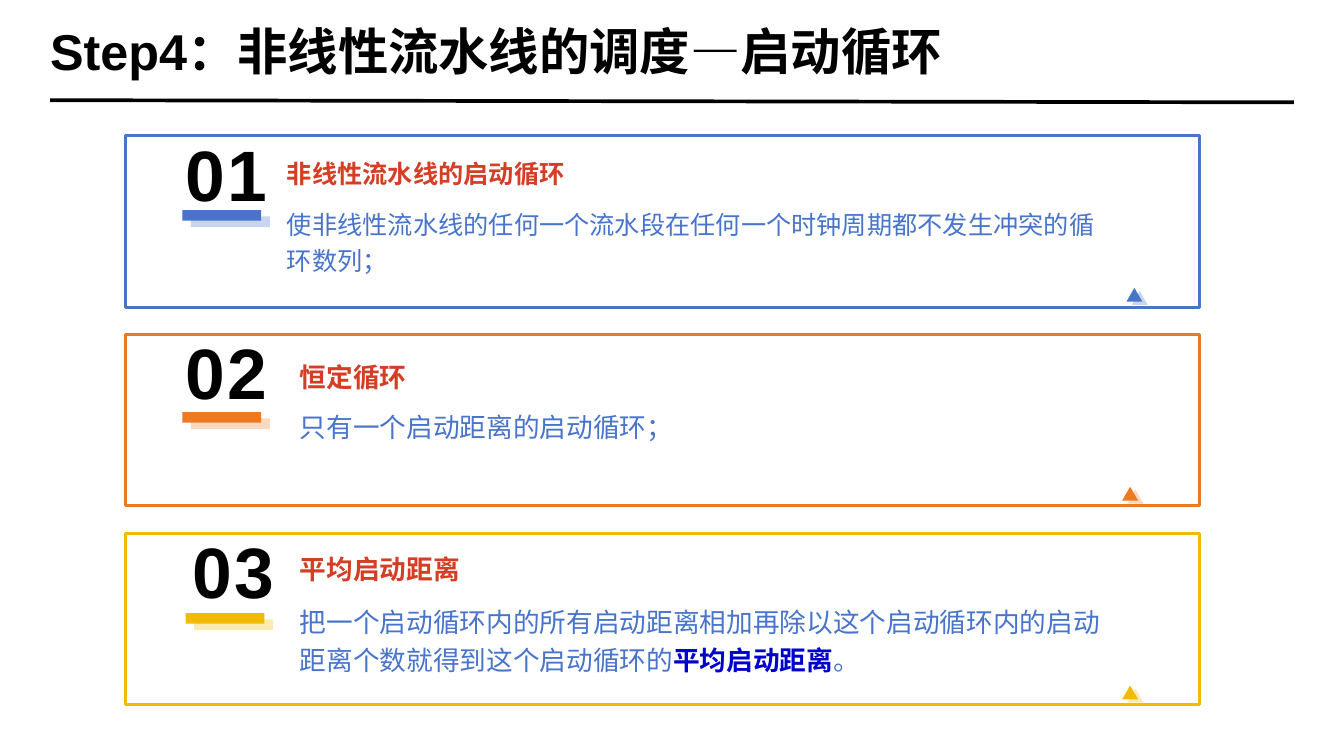
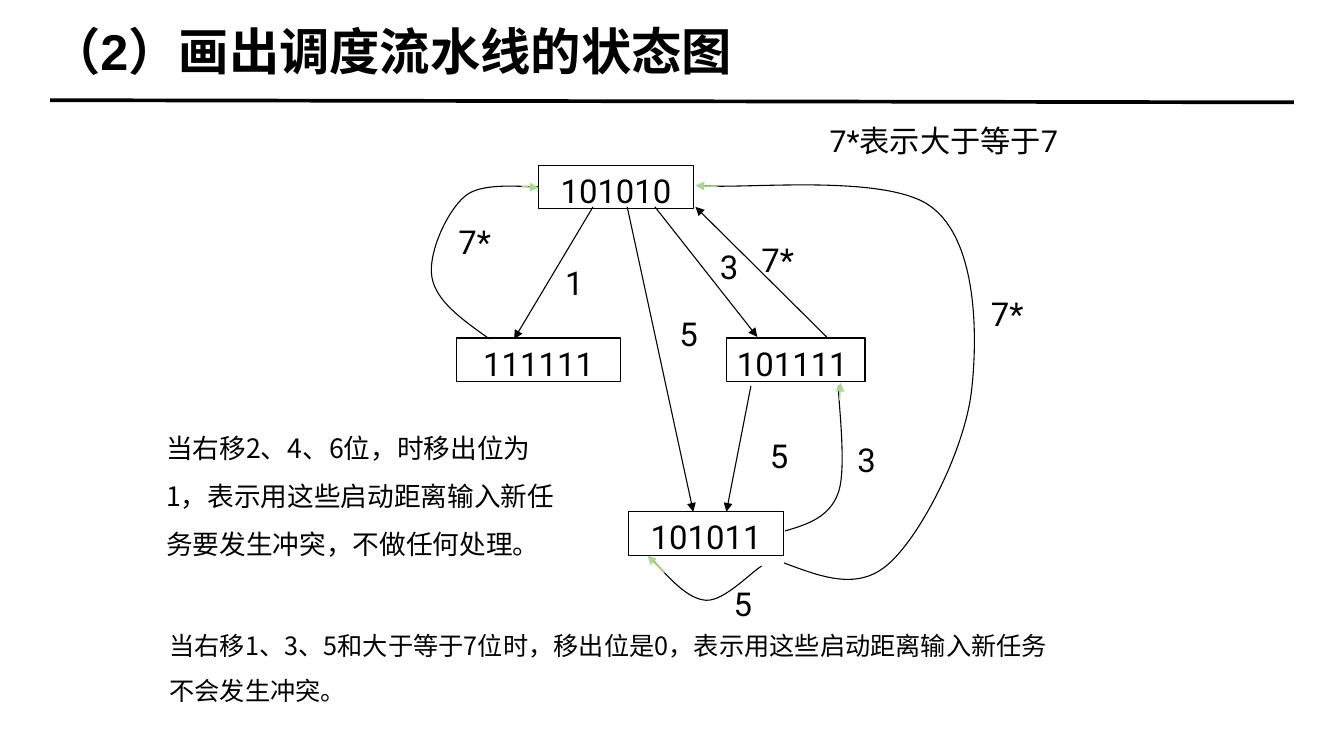
from dataclasses import dataclass

from lxml.etree import SubElement
from pptx import Presentation
from pptx.dml.color import RGBColor
from pptx.enum.shapes import MSO_CONNECTOR, MSO_SHAPE
from pptx.enum.text import MSO_ANCHOR as Anchor, PP_ALIGN as Align
from pptx.oxml.ns import qn
from pptx.util import Inches, Pt

BLACK = RGBColor(0x00, 0x00, 0x00)
BLUE = RGBColor(0x48, 0x74, 0xCB)
ORANGE = RGBColor(0xED, 0x7A, 0x22)
LIGHT_ORANGE = RGBColor(0xEE, 0x82, 0x2F)
YELLOW = RGBColor(0xF2, 0xBA, 0x02)
RED = RGBColor(0xD5, 0x3E, 0x25)
STRONG_BLUE = RGBColor(0x00, 0x00, 0xCC)
GREEN = RGBColor(0xAC, 0xD7, 0x8E)

HEAD_FONT = "Arial"
BODY_FONT = "Noto Sans CJK SC"
STATE_FONT = "Roboto"
INSET = (0.1, 0.05)


@dataclass
class Card:
    number: str
    heading: str
    body: list
    color: RGBColor
    soft: RGBColor
    size: float
    spacing: float
    gap: float
    number_width: float
    bar_at: tuple
    text_at: tuple
    marker_at: tuple


CARDS = [
    Card("01", "非线性流水线的启动循环",
         [("使非线性流水线的任何一个流水段在任何一个时钟周期都不发生冲突的循环数列；", False)],
         BLUE, BLUE, 17, 24.3, 10, 1.13, (0.53, 0.7), (1.51, 0.37), (9.38, 1.43)),
    Card("02", "恒定循环", [("只有一个启动距离的启动循环；", False)],
         ORANGE, LIGHT_ORANGE, 18, 30.2, 4, 1.13, (0.53, 0.73), (1.63, 0.21), (9.34, 1.43)),
    Card("03", "平均启动距离",
         [("把一个启动循环内的所有启动距离相加再除以这个启动循环内的启动距离个数就得到这个启动循环的", False),
          ("平均启动距离", True), ("。", False)],
         YELLOW, YELLOW, 18, 25.8, 10, 1.25, (0.56, 0.75), (1.63, 0.37), (9.34, 1.43)),
]

STATES = [  # label, left, top, width, alignment
    ("101010", 5.05, 1.55, 1.45, Align.CENTER),
    ("111111", 4.28, 3.17, 1.54, Align.CENTER),
    ("101111", 6.81, 3.17, 1.3, Align.LEFT),
    ("101011", 5.89, 4.8, 1.46, Align.CENTER),
]
STRAIGHT_MOVES = [
    ((5.56, 1.94), (4.82, 3.18)),
    ((6.14, 1.94), (7.1, 3.16)),
    ((5.88, 1.94), (6.5, 4.8)),
    ((7.04, 3.62), (6.81, 4.8)),
    ((7.75, 3.16), (6.52, 1.94)),
]
CURVED_MOVES = [  # Bezier points of the curve, ends of its arrow tip
    ([(4.59, 3.18), (4.34, 3), (4.09, 2.83), (4.05, 2.6),
      (4.01, 2.38), (4.19, 1.98), (4.36, 1.84),
      (4.52, 1.7), (4.93, 1.76), (5.05, 1.75)],
     ((4.89, 1.75), (5.05, 1.76))),
    ([(7.36, 4.98), (7.57, 4.92), (7.78, 4.85), (7.86, 4.62),
      (7.94, 4.39), (7.86, 3.77), (7.86, 3.62)],
     ((7.87, 3.75), (7.88, 3.59))),
    ([(7.35, 5.28), (7.7, 5.41), (8.05, 5.55), (8.34, 5.28),
      (8.64, 5.01), (9.05, 4.21), (9.11, 3.65),
      (9.17, 3.1), (9.15, 2.25), (8.73, 1.94),
      (8.31, 1.62), (6.94, 1.78), (6.58, 1.74)],
     ((6.72, 1.75), (6.52, 1.74))),
    ([(6.11, 5.24), (6.28, 5.43), (6.45, 5.62), (6.62, 5.63),
      (6.79, 5.64), (7.05, 5.36), (7.14, 5.31)],
     ((6.23, 5.37), (6.07, 5.21))),
]
MOVE_LABELS = [  # label, left, top, width
    ("7*", 4.2, 2.03, 0.77), ("1", 5.2, 2.41, 0.77), ("5", 6.27, 2.89, 0.69),
    ("7*", 7.04, 2.2, 0.69), ("3", 6.65, 2.26, 0.45), ("5", 7.12, 4.04, 0.69),
    ("3", 7.94, 4.07, 0.54), ("7*", 9.19, 2.7, 0.69), ("5", 6.78, 5.42, 0.39),
]


def set_font(paragraph, name, size, color=BLACK, bold=False, tracking=None):
    font = paragraph.font
    font.name, font.size, font.bold = name, Pt(size), bold
    font.color.rgb = color
    properties = paragraph._p.pPr.find(qn("a:defRPr"))
    asian = BODY_FONT if name == HEAD_FONT else name
    SubElement(properties, qn("a:ea")).set("typeface", asian)
    if tracking:
        properties.set("spc", str(tracking))


def set_frame(shape, anchor=Anchor.TOP, inset=INSET):
    frame = shape.text_frame
    frame.word_wrap = True
    frame.vertical_anchor = anchor
    frame.margin_left = frame.margin_right = Inches(inset[0])
    frame.margin_top = frame.margin_bottom = Inches(inset[1])
    return frame


def add_text(slide, box, text, font, size, anchor=Anchor.TOP, inset=INSET,
             align=Align.LEFT, spacing=None, **style):
    frame = set_frame(slide.shapes.add_textbox(*map(Inches, box)), anchor, inset)
    paragraph = frame.paragraphs[0]
    paragraph.text, paragraph.alignment = text, align
    paragraph.line_spacing = spacing
    set_font(paragraph, font, size, **style)


def add_block(slide, kind, box, fill=None, line=None, width=1, alpha=None):
    block = slide.shapes.add_shape(kind, *map(Inches, box))
    block.shadow.inherit = False
    if fill is None:
        block.fill.background()
    else:
        block.fill.solid()
        block.fill.fore_color.rgb = fill
    if alpha:
        color = block._element.spPr.find(qn("a:solidFill"))[0]
        SubElement(color, qn("a:alpha")).set("val", str(alpha * 1000))
    if line is None:
        block.line.fill.background()
    else:
        block.line.color.rgb, block.line.width = line, Pt(width)
    return block


def add_line(slide, start, end, color=BLACK, width=0.75, arrow=True):
    line = slide.shapes.add_connector(
        MSO_CONNECTOR.STRAIGHT, *map(Inches, (*start, *end)))
    line.line.color.rgb, line.line.width = color, Pt(width)
    if arrow:
        SubElement(line.line._get_or_add_ln(), qn("a:tailEnd")).set("type", "triangle")
    SubElement(line._element.spPr, qn("a:effectLst"))


def add_curve(slide, points):
    """Draw joined cubic Bezier curves, three points after the start for each."""
    start, *rest = [tuple(map(Inches, point)) for point in points]
    builder = slide.shapes.build_freeform(*start)
    builder.add_line_segments(rest, close=False)
    curve = builder.convert_to_shape()
    segments = list(curve._element.iter(qn("a:lnTo")))
    outline = segments[0].getparent()
    for first in range(0, len(segments), 3):
        bezier = SubElement(outline, qn("a:cubicBezTo"))
        for segment in segments[first:first + 3]:
            bezier.append(segment[0])
            outline.remove(segment)
    curve.shadow.inherit = False
    curve.fill.background()
    curve.line.color.rgb, curve.line.width = BLACK, Pt(0.75)


def add_titled_slide(deck, title):
    slide = deck.slides.add_slide(deck.slide_layouts[6])
    add_line(slide, (0.47, 0.94), (12.13, 0.96), width=2.5, arrow=False)
    add_text(slide, (0.47, 0.16, 11.65, 0.63), title, HEAD_FONT, 34,
             Anchor.MIDDLE, (0, 0), bold=True)
    return slide


def add_with_echo(slide, kind, box, offset, card):
    """Place a solid mark over a pale one shifted right and down."""
    left, top, width, height = box
    echo = (left + offset[0], top + offset[1], width, height)
    add_block(slide, kind, echo, card.soft, alpha=30)
    add_block(slide, kind, box, card.color)


def add_card(slide, card, left, top, width, height):
    def place(at, *size):
        return (left + at[0], top + at[1], *size)

    add_block(slide, MSO_SHAPE.RECTANGLE, (left, top, width, height),
              line=card.color, width=2)
    add_with_echo(slide, MSO_SHAPE.ISOSCELES_TRIANGLE,
                  place(card.marker_at, 0.15, 0.13), (0.05, 0.03), card)

    text_box = place(card.text_at, width - 0.87 - card.text_at[0], 0.73)
    frame = set_frame(slide.shapes.add_textbox(*map(Inches, text_box)),
                      Anchor.MIDDLE, (0, 0))
    heading, body = frame.paragraphs[0], frame.add_paragraph()
    heading.text = card.heading
    for text, strong in card.body:
        run = body.add_run()
        run.text = text
        if strong:
            run.font.bold = True
            run.font.color.rgb = STRONG_BLUE
    heading.line_spacing = body.line_spacing = Pt(card.spacing)
    body.space_before = Pt(card.gap)
    set_font(heading, BODY_FONT, card.size, RED, bold=True)
    set_font(body, BODY_FONT, card.size, BLUE)

    add_with_echo(slide, MSO_SHAPE.RECTANGLE, place(card.bar_at, 0.74, 0.1),
                  (0.08, 0.06), card)
    add_text(slide, place((0.38, -0.16), card.number_width, 0.96), card.number,
             HEAD_FONT, 48.2, Anchor.BOTTOM, align=Align.CENTER, spacing=1.1,
             bold=True, tracking=150)


def add_state_diagram(slide):
    for label, left, top, width, align in STATES:
        state = add_block(slide, MSO_SHAPE.RECTANGLE, (left, top, width, 0.41),
                          line=BLACK, width=0.75)
        paragraph = set_frame(state).paragraphs[0]
        paragraph.text, paragraph.alignment = label, align
        set_font(paragraph, STATE_FONT, 22.2)
    for start, end in STRAIGHT_MOVES:
        add_line(slide, start, end)
    for points, tip in CURVED_MOVES:
        add_curve(slide, points)
        add_line(slide, *tip, color=GREEN, width=1)
    for label, left, top, width in MOVE_LABELS:
        add_text(slide, (left, top, width, 0.41), label, STATE_FONT, 22.2)


def build_cycles_slide(deck):
    slide = add_titled_slide(deck, "Step4：非线性流水线的调度—启动循环")
    for row, card in enumerate(CARDS):
        add_card(slide, card, 1.18, 1.27 + row * 1.865, 10.07, 1.61)


def build_states_slide(deck):
    slide = add_titled_slide(deck, "（2）画出调度流水线的状态图")
    add_state_diagram(slide)
    add_text(slide, (1.46, 3.85, 3.84, 2.14),
             "当右移2、4、6位，时移出位为1，表示用这些启动距离输入新任务要发生冲突，不做任何处理。",
             BODY_FONT, 18, spacing=Pt(32.4))
    add_text(slide, (1.49, 5.72, 8.55, 0.74),
             "当右移1、3、5和大于等于7位时，移出位是0，表示用这些启动距离输入新任务不会发生冲突。",
             BODY_FONT, 17, spacing=Pt(30.5))
    add_text(slide, (7.68, 1.1, 2.38, 0.41), "7*表示大于等于7", STATE_FONT, 20.4)


def main():
    deck = Presentation()
    deck.slide_width, deck.slide_height = Inches(12.6), Inches(7.09)
    build_cycles_slide(deck)
    build_states_slide(deck)
    deck.save("out.pptx")


if __name__ == "__main__":
    main()
